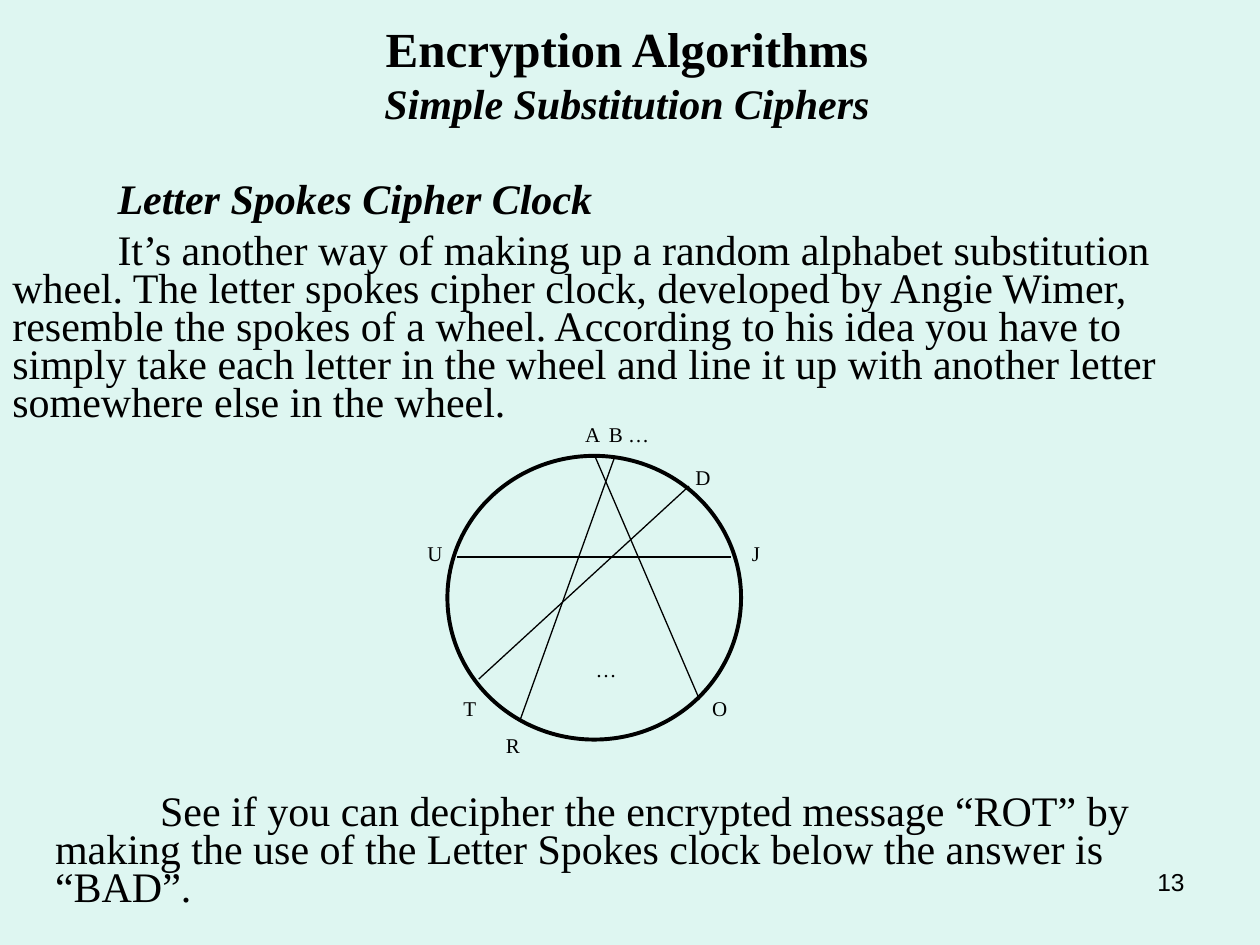
from dataclasses import dataclass

from lxml import etree
from pptx import Presentation
from pptx import util as u
from pptx.dml.color import RGBColor
from pptx.enum import shapes, text
from pptx.oxml import ns


@dataclass(frozen=True)
class Theme:
    back: RGBColor = RGBColor(0xDE, 0xF6, 0xF1)
    ink: RGBColor = RGBColor(0, 0, 0)
    serif: str = "Times New Roman"
    sans: str = "Arial"
    title: int = 28
    body: int = 24
    number: int = 14
    label: int = 12
    rim: float = 2.25
    spoke: float = 0.75
    indent: float = 2.12


T = Theme()
LEFT, CENTER, RIGHT = text.PP_ALIGN.LEFT, text.PP_ALIGN.CENTER, text.PP_ALIGN.RIGHT

SPOKES = [
    ((0.2, 2.04), (5.71, 2.04)),
    ((3.38, 0), (1.47, 5.31)),
    ((2.97, 0), (5.08, 4.91)),
    ((4.87, 0.61), (0.63, 4.5)),
]
LABELS = [
    ("A", 2.93, -0.44), ("B …", 3.66, -0.44), ("D", 5.15, 0.43),
    ("U", -0.25, 1.96), ("J", 6.22, 1.96), ("…", 3.2, 4.3),
    ("T", 0.45, 5.08), ("O", 5.49, 5.08), ("R", 1.32, 5.83),
]


def write(tf, words, size=T.body, font=T.serif, bold=False, italic=False,
          align=LEFT, line=1.0, before=0, indent=0):
    p = tf.paragraphs[-1]
    if p.runs:
        p = tf.add_paragraph()
    p.alignment, p.line_spacing, p.space_before = align, line, u.Pt(before)
    if indent:
        p._p.get_or_add_pPr().set("indent", str(u.Cm(indent)))
    r = p.add_run()
    r.text = words
    r.font.name, r.font.size = font, u.Pt(size)
    r.font.bold, r.font.italic = bold, italic
    r.font.color.rgb = T.ink


def text_box(s, x, y, w, h):
    tf = s.shapes.add_textbox(u.Cm(x), u.Cm(y), u.Cm(w), u.Cm(h)).text_frame
    tf.word_wrap = True
    return tf


def add_title(s, x, y, w, h):
    sp = s.shapes.title
    sp.left, sp.top, sp.width, sp.height = u.Cm(x), u.Cm(y), u.Cm(w), u.Cm(h)
    tf = sp.text_frame
    tf.auto_size = text.MSO_AUTO_SIZE.NONE
    tf.vertical_anchor = text.MSO_ANCHOR.MIDDLE
    write(tf, "Encryption Algorithms", T.title, bold=True, align=CENTER)
    write(tf, "Simple Substitution Ciphers", bold=True, italic=True, align=CENTER)


def add_body(s, x, y, w, h, paragraphs):
    tf = text_box(s, x, y, w, h)
    for words, strong in paragraphs:
        write(tf, words, bold=strong, italic=strong,
              line=0.75, before=7.5, indent=T.indent)


def add_spoke(s, x, y, start, end):
    c = s.shapes.add_connector(
        shapes.MSO_CONNECTOR.STRAIGHT,
        u.Cm(x + start[0]), u.Cm(y + start[1]), u.Cm(x + end[0]), u.Cm(y + end[1]))
    c.line.color.rgb, c.line.width = T.ink, u.Pt(T.spoke)
    etree.SubElement(c._element.spPr, ns.qn("a:effectLst"))


def add_label(s, x, y, words, w=1.4, h=0.6):
    tf = text_box(s, x - w / 2, y - h / 2, w, h)
    tf.margin_left = tf.margin_right = tf.margin_top = tf.margin_bottom = 0
    tf.vertical_anchor = text.MSO_ANCHOR.MIDDLE
    write(tf, words, T.label, align=CENTER)


def add_clock(s, x, y, w, h):
    sp = s.shapes.add_shape(shapes.MSO_SHAPE.OVAL, u.Cm(x), u.Cm(y), u.Cm(w), u.Cm(h))
    sp.shadow.inherit = False
    sp.fill.background()
    sp.line.color.rgb, sp.line.width = T.ink, u.Pt(T.rim)
    for start, end in SPOKES:
        add_spoke(s, x, y, start, end)
    for words, dx, dy in LABELS:
        add_label(s, x + dx, y + dy, words)


def add_number(s, x, y, w, h):
    write(text_box(s, x, y, w, h), "13", T.number, T.sans, align=RIGHT)


def main():
    prs = Presentation()
    prs.slide_width, prs.slide_height = u.Cm(25.4), u.Cm(19.05)
    s = prs.slides.add_slide(prs.slide_layouts[5])
    s.background.fill.solid()
    s.background.fill.fore_color.rgb = T.back
    add_title(s, 7.37, 0.25, 10.54, 2.44)
    add_body(s, 0, 3.6, 24.54, 5.08, [
        ("Letter Spokes Cipher Clock", True),
        ("It’s another way of making up a random alphabet substitution wheel. "
         "The letter spokes cipher clock, developed by Angie Wimer, resemble the "
         "spokes of a wheel. According to his idea you have to simply take each "
         "letter in the wheel and line it up with another letter somewhere else "
         "in the wheel.", False),
    ])
    add_clock(s, 9.02, 9.19, 5.92, 5.72)
    add_body(s, 0.86, 15.93, 24.54, 2.54, [
        ("See if you can decipher the encrypted message “ROT” by making the use "
         "of the Letter Spokes clock below the answer is “BAD”.", False),
    ])
    add_number(s, 18.21, 17.35, 5.92, 1.32)
    prs.save("out.pptx")


if __name__ == "__main__":
    main()
